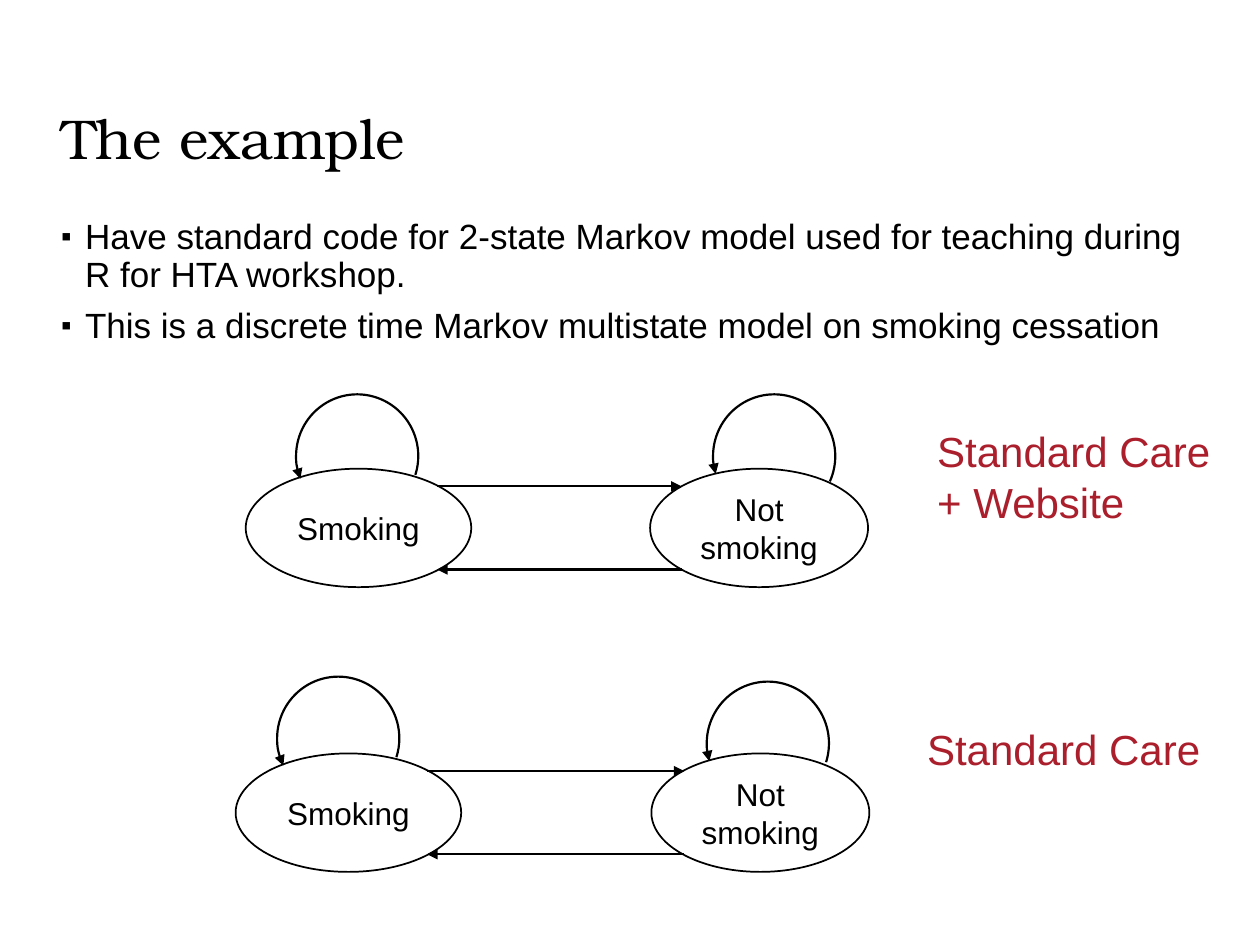
import pptx
import pptx.util
import pptx.dml.color
import pptx.enum.shapes
import pptx.enum.text
import pptx.oxml
import pptx.oxml.ns
import lxml.etree

Inches, Pt = pptx.util.Inches, pptx.util.Pt
SHAPE = pptx.enum.shapes.MSO_SHAPE
ALIGN = pptx.enum.text.PP_ALIGN
ANCHOR = pptx.enum.text.MSO_ANCHOR
qn = pptx.oxml.ns.qn

BLACK, WHITE, RED = "000000", "FFFFFF", "AB1F2D"
TITLE = "The example"
BULLETS = [
    "Have standard code for 2-state Markov model used for teaching during R for HTA workshop.",
    "This is a discrete time Markov multistate model on smoking cessation",
]
STATE_H, LOOP_W, LOOP_H = 0.94, 0.97, 0.98
ARROW_INSET = 0.14
MODELS = [
    dict(
        top=3.72,
        states=[("Smoking", 1.95, 1.79), ("Not smoking", 5.16, 1.73)],
        arrow_x=(3.47, 5.41),
        loops=[(2.35, 3.13, 94.88, 10.76), (5.66, 3.13, 97.81, 14.69)],
        label=("Standard Care + Website", 7.34, 3.33, 2.43, 0.91),
    ),
    dict(
        top=5.98,
        states=[("Smoking", 1.87, 1.79), ("Not smoking", 5.17, 1.73)],
        arrow_x=(3.39, 5.43),
        loops=[(2.2, 5.37, 92.13, 10.76), (5.61, 5.41, 97.81, 10.76)],
        label=("Standard Care", 7.26, 5.69, 2.54, 0.5),
    ),
]


def rgb(value):
    return pptx.dml.color.RGBColor.from_string(value)


def write(tf, *texts, size=18, font="Arial", color=BLACK, align=ALIGN.LEFT,
          anchor=ANCHOR.TOP, spacing=None, before=None, bullet=None):
    tf.word_wrap = True
    tf.auto_size = pptx.enum.text.MSO_AUTO_SIZE.NONE
    tf.vertical_anchor = anchor
    for i, text in enumerate(texts):
        p = tf.add_paragraph() if i else tf.paragraphs[0]
        p.alignment = align
        if spacing:
            p.line_spacing = spacing
        if before is not None:
            p.space_before = Pt(before)
        if bullet:
            pPr = p._p.get_or_add_pPr()
            pPr.set("marL", str(Inches(0.19)))
            pPr.set("indent", str(Inches(-0.19)))
            lxml.etree.SubElement(pPr, qn("a:buSzPct"), val="85000")
            lxml.etree.SubElement(pPr, qn("a:buFont"), typeface="Arial")
            lxml.etree.SubElement(pPr, qn("a:buChar"), char=bullet)
        r = p.add_run()
        r.text = text
        r.font.size, r.font.name = Pt(size), font
        r.font.color.rgb = rgb(color)


def place(sp, left, top, width, height):
    sp.left, sp.top = Inches(left), Inches(top)
    sp.width, sp.height = Inches(width), Inches(height)
    tf = sp.text_frame
    tf.margin_left = tf.margin_right = Inches(0.075)
    tf.margin_top = tf.margin_bottom = Inches(0.04)
    return tf


def outline(sp, width, arrow=None):
    sp.line.color.rgb = rgb(BLACK)
    sp.line.width = Pt(width)
    if arrow:
        lxml.etree.SubElement(sp.line._get_or_add_ln(), qn("a:" + arrow), type="triangle")


def add_state(shapes, text, left, top, width):
    sp = shapes.add_shape(SHAPE.OVAL, Inches(left), Inches(top), Inches(width), Inches(STATE_H))
    sp.shadow.inherit = False
    sp.fill.solid()
    sp.fill.fore_color.rgb = rgb(WHITE)
    outline(sp, 1)
    write(sp.text_frame, text, align=ALIGN.CENTER, anchor=ANCHOR.MIDDLE)


def add_arrow(shapes, x1, x2, y):
    sp = shapes.add_connector(pptx.enum.shapes.MSO_CONNECTOR.STRAIGHT,
                              Inches(x1), Inches(y), Inches(x2), Inches(y))
    outline(sp, 1.25, "tailEnd")
    lxml.etree.SubElement(sp._element.spPr, qn("a:effectLst"))


def add_loop(shapes, left, top, start, end):
    sp = shapes.add_shape(SHAPE.ARC, Inches(left), Inches(top), Inches(LOOP_W), Inches(LOOP_H))
    sp.shadow.inherit = False
    sp.fill.background()
    sp.adjustments[0], sp.adjustments[1] = start, end
    outline(sp, 1.25, "headEnd")


def add_model(shapes, top, states, arrow_x, loops, label):
    for text, left, width in states:
        add_state(shapes, text, left, top, width)
    x1, x2 = arrow_x
    add_arrow(shapes, x1, x2, top + ARROW_INSET)
    add_arrow(shapes, x2, x1, top + STATE_H - ARROW_INSET)
    for loop in loops:
        add_loop(shapes, *loop)
    text, *box = label
    sp = shapes.add_textbox(*map(Inches, box))
    write(sp.text_frame, text, size=24, color=RED)


def main():
    prs = pptx.Presentation()
    prs.slide_width, prs.slide_height = Inches(10), Inches(7.5)
    s = prs.slides.add_slide(prs.slide_layouts[1])
    title, body = s.placeholders
    write(place(title, 0.41, 0.4, 9.19, 1.45), TITLE, size=32, font="TeX Gyre Bonum",
          anchor=ANCHOR.MIDDLE, spacing=0.9)
    write(place(body, 0.41, 1.7, 9.19, 1.59), *BULLETS, size=20,
          spacing=0.9, before=7.5, bullet="▪")
    for model in MODELS:
        add_model(s.shapes, **model)
    prs.save("out.pptx")


if __name__ == "__main__":
    main()
